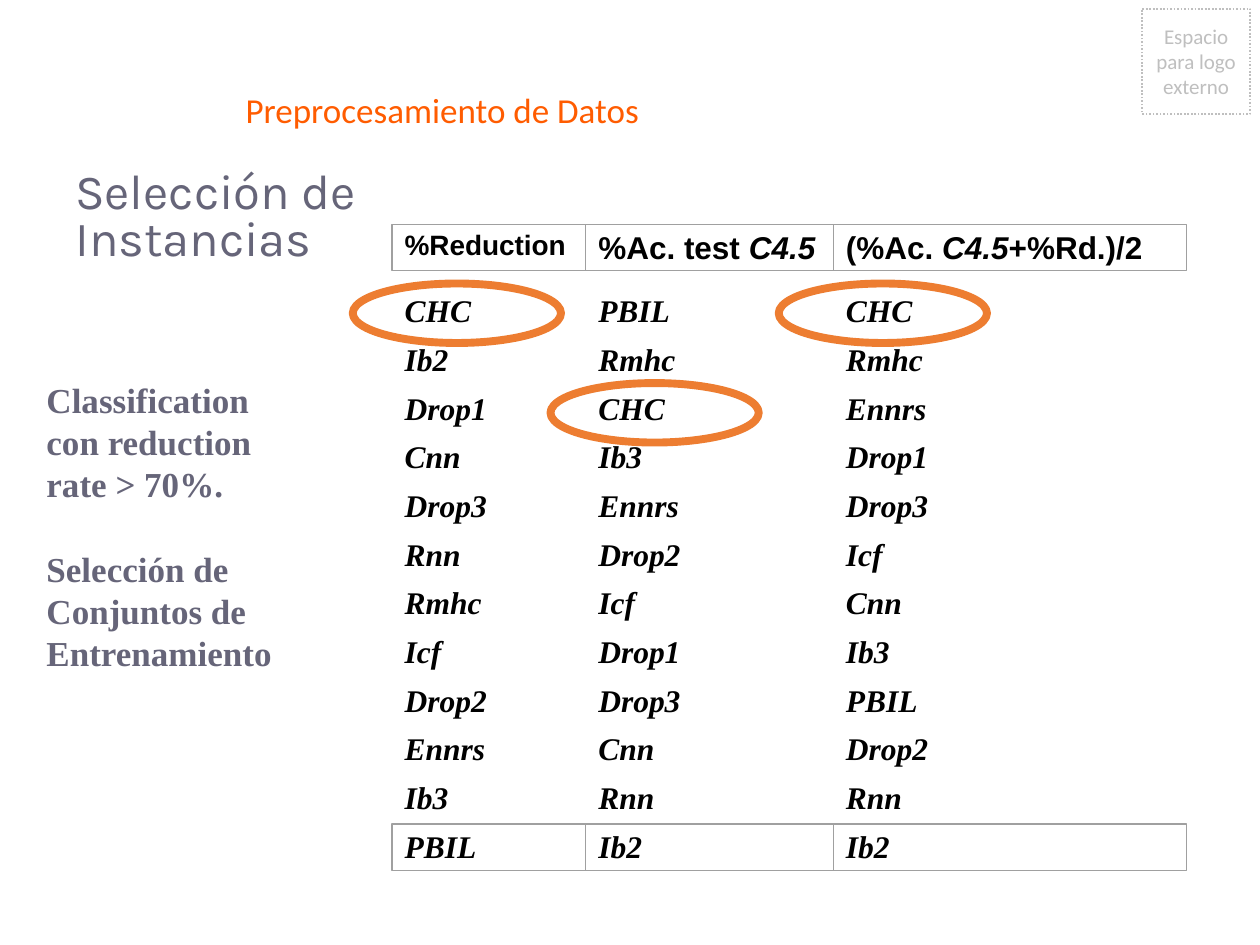
from dataclasses import dataclass
from typing import Optional

from pptx import Presentation
from pptx.dml.color import RGBColor
from pptx.enum import dml, shapes, text
from pptx.util import Pt

INK, SLATE, GREY = "000000", "666579", "BFBFBF"
PLAIN_TABLE = "{2D5ABB26-0587-4C30-8999-92F81FD0307C}"  # no style, no grid


@dataclass(frozen=True)
class Box:
    left: float
    top: float
    width: float
    height: float

    def lengths(self) -> list:
        return [Pt(v) for v in (self.left, self.top, self.width, self.height)]


@dataclass(frozen=True)
class Face:
    font: str
    size: float
    color: str
    bold: bool = False
    italic: bool = False


@dataclass(frozen=True)
class Outline:
    color: str
    width: float
    dash: Optional[int] = None


def rgb(value: str) -> RGBColor:
    return RGBColor.from_string(value)


def format_run(run, face: Face) -> None:
    font = run.font
    font.name, font.size = face.font, Pt(face.size)
    font.bold, font.italic = face.bold, face.italic
    font.color.rgb = rgb(face.color)


def write(frame, content: str, face: Face) -> None:
    frame.text = content
    for paragraph in frame.paragraphs:
        for run in paragraph.runs:
            format_run(run, face)


def add_label(slide, box: Box, content: str, face: Face, wrap: bool = True):
    frame = slide.shapes.add_textbox(*box.lengths()).text_frame
    frame.word_wrap = wrap
    write(frame, content, face)
    return frame


def add_outline(slide, kind, box: Box, outline: Outline):
    shape = slide.shapes.add_shape(kind, *box.lengths())
    shape.shadow.inherit = False
    shape.fill.background()
    shape.line.color.rgb = rgb(outline.color)
    shape.line.width = Pt(outline.width)
    if outline.dash is not None:
        shape.line.dash_style = outline.dash
    return shape


# Ranking of the methods, best first, one list per criterion
RANKINGS = [
    "CHC Ib2 Drop1 Cnn Drop3 Rnn Rmhc Icf Drop2 Ennrs Ib3 PBIL".split(),
    "PBIL Rmhc CHC Ib3 Ennrs Drop2 Icf Drop1 Drop3 Cnn Rnn Ib2".split(),
    "CHC Rmhc Ennrs Drop1 Drop3 Icf Cnn Ib3 PBIL Drop2 Rnn Ib2".split(),
]
HEADINGS = [["%Reduction"], ["%Ac. test ", "C4.5"], ["(%Ac. ", "C4.5", "+%Rd.)/2"]]
HEADING_SIZES = [16, 18, 18]
COLUMN_WIDTHS = [110.7, 141.5, 201.8]
LEFT, TOP = 224, 128.2
HEADING_HEIGHT, ROW_HEIGHT, FRAME_HEIGHT = 36.7, 27.82, 26.6


def prepare_cell(cell):
    cell.fill.background()
    cell.margin_top, cell.margin_bottom = Pt(3.6), Pt(0)
    return cell.text_frame


def add_rankings(slide) -> None:
    count = len(RANKINGS[0])
    box = Box(LEFT, TOP, sum(COLUMN_WIDTHS), HEADING_HEIGHT + count * ROW_HEIGHT)
    table = slide.shapes.add_table(count + 1, len(RANKINGS), *box.lengths()).table
    table._tbl.tblPr.find("{*}tableStyleId").text = PLAIN_TABLE
    table.first_row = table.horz_banding = False
    for column, width in zip(table.columns, COLUMN_WIDTHS):
        column.width = Pt(width)
    for index, row in enumerate(table.rows):
        row.height = Pt(ROW_HEIGHT if index else HEADING_HEIGHT)

    method = Face("Times New Roman", 18, INK, bold=True, italic=True)
    for col, (parts, size, ranking) in enumerate(zip(HEADINGS, HEADING_SIZES, RANKINGS)):
        heading = prepare_cell(table.cell(0, col)).paragraphs[0]
        for part in parts:
            run = heading.add_run()
            run.text = part
            format_run(run, Face("Arial", size, INK, True, part == "C4.5"))
        for place, name in enumerate(ranking, start=1):
            write(prepare_cell(table.cell(place, col)), name, method)

    # Thin frames round the headings and the last place
    last_top = TOP + HEADING_HEIGHT + (count - 1) * ROW_HEIGHT
    for top in (TOP, last_top):
        for col, width in enumerate(COLUMN_WIDTHS):
            left = LEFT + sum(COLUMN_WIDTHS[:col])
            add_outline(slide, shapes.MSO_SHAPE.RECTANGLE,
                        Box(left, top, width, FRAME_HEIGHT), Outline("A0A0A0", 0))


def main() -> None:
    deck = Presentation()
    deck.slide_width, deck.slide_height = Pt(720), Pt(540)
    slide = deck.slides.add_slide(deck.slide_layouts[6])

    # Space for an external logo
    logo_space = add_outline(slide, shapes.MSO_SHAPE.RECTANGLE, Box(652.5, 5, 62, 60),
                             Outline(GREY, 1, dml.MSO_LINE.ROUND_DOT))
    write(logo_space.text_frame, "Espacio para logo externo", Face("Calibri", 12, GREY))
    logo_space.text_frame.vertical_anchor = text.MSO_ANCHOR.MIDDLE
    logo_space.text_frame.paragraphs[0].alignment = text.PP_ALIGN.CENTER

    # Side remarks
    remarks = add_label(slide, Box(19.5, 213, 164, 204),
                        "Classification con reduction rate > 70%.\n"
                        "Selección de Conjuntos de Entrenamiento",
                        Face("Times New Roman", 20, SLATE, bold=True))
    remarks.paragraphs[1].space_before = Pt(24)

    add_rankings(slide)

    # Topic and title
    topic = add_label(slide, Box(36, 94.5, 302, 34), "Selección de\vInstancias",
                      Face("Karla", 28, SLATE), wrap=False)
    topic.paragraphs[0].line_spacing = 0.8
    title = add_label(slide, Box(133.2, 12.2, 574.6, 66.2), "Preprocesamiento de Datos",
                      Face("Calibri", 20, "FF5C00"))
    title.vertical_anchor = text.MSO_ANCHOR.BOTTOM

    # Rings round CHC in each ranking
    for left, top in ((445, 162), (314.6, 218.9), (201.6, 162)):
        add_outline(slide, shapes.MSO_SHAPE.OVAL, Box(left, top, 119, 34),
                    Outline("ED7D31", 4.5))

    deck.save("out.pptx")


if __name__ == "__main__":
    main()
